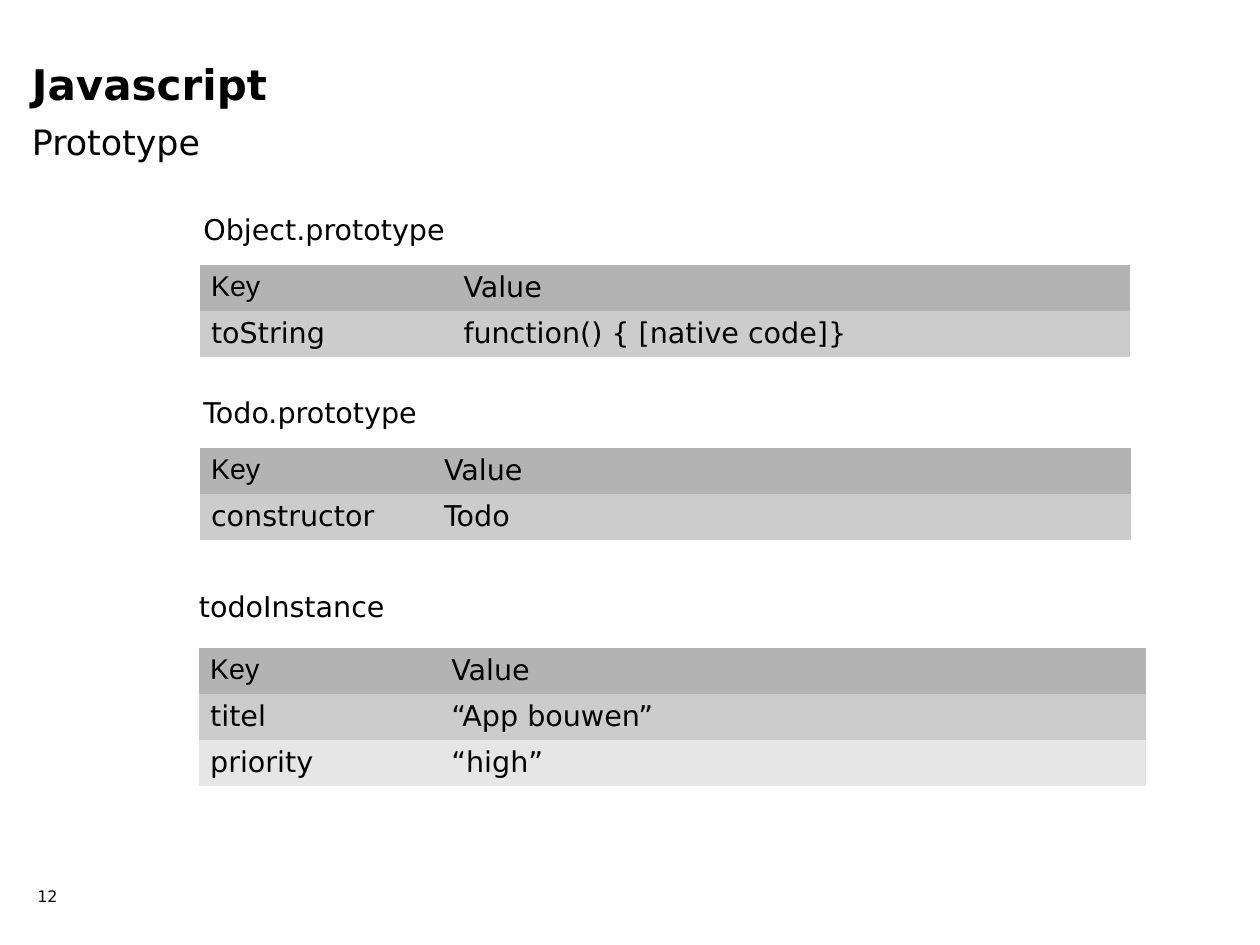
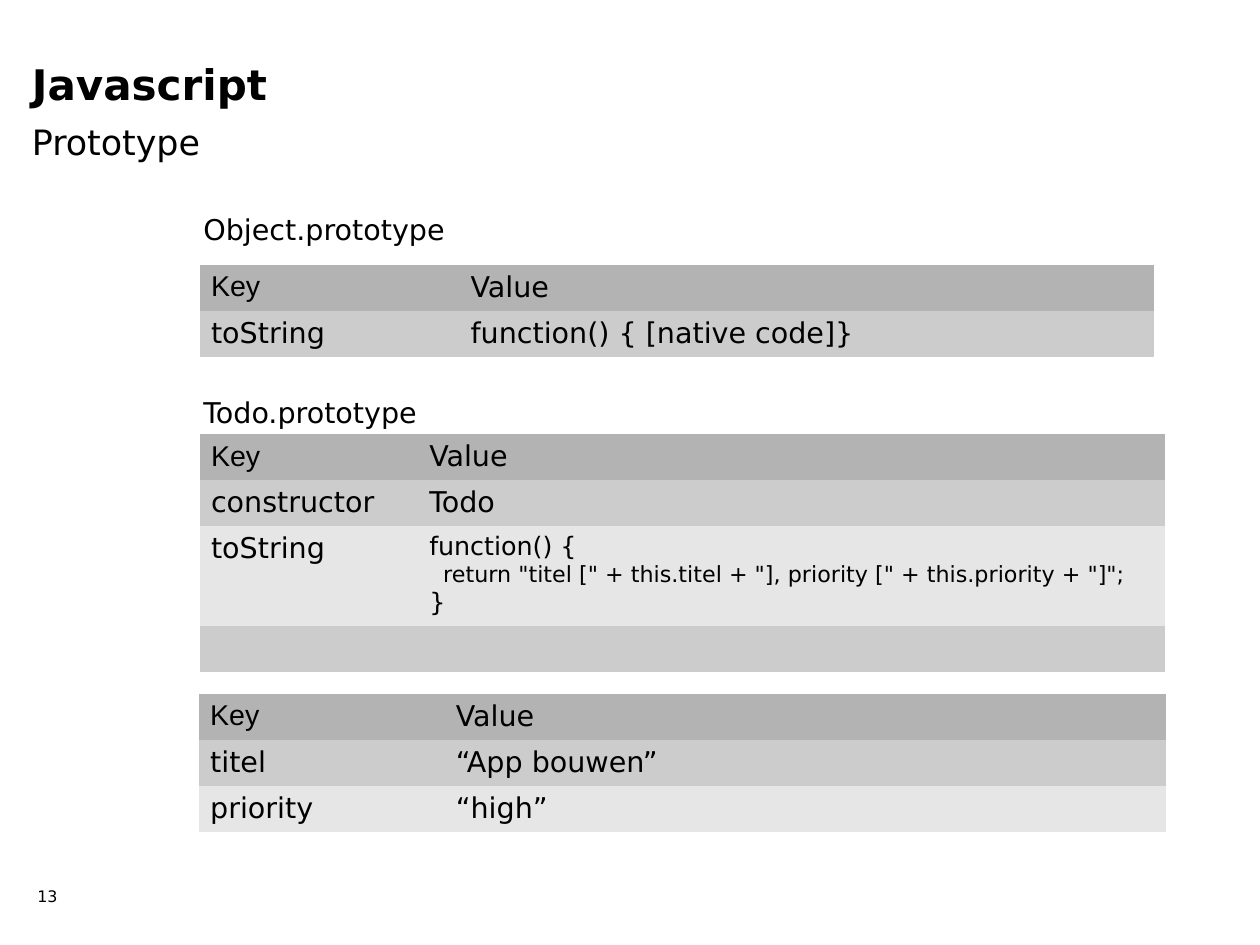
from pptx import Presentation
from pptx.dml.color import RGBColor
from pptx.enum.text import MSO_ANCHOR
from pptx.oxml.ns import qn
from pptx.util import Cm, Pt

MIDDLE, TOP = MSO_ANCHOR.MIDDLE, MSO_ANCHOR.TOP
COLORS = {"text": "000000", "header": "B3B3B3", "odd": "CCCCCC", "even": "E6E6E6"}
FONT = "DejaVu Sans"
KEY_FONT = "Arial"
PLAIN_TABLE = "{2D5ABB26-0587-4C30-8999-92F81FD0307C}"
INSET_X, INSET_Y = 0.25, 0.13
ROW_HEIGHT = 1.02
TABLE_LEFT = 4.44
INSTANCE_LEFT = 4.42
LABEL_LEFT = 4.27
OBJECT_LABEL_TOP, OBJECT_TOP = 4.57, 5.89
TODO_LABEL_TOP = 8.64

HEADER = ("Key", "Value")
OBJECT_ROWS = [HEADER, ("toString", "function() { [native code]}")]
TODO_ROWS = [HEADER, ("constructor", "Todo")]
INSTANCE_ROWS = [HEADER, ("titel", "“App bouwen”"), ("priority", "“high”")]
TO_STRING_CODE = [
    ("function() {", {"size": 16}),
    ('return "titel [" + this.titel + "], priority [" + this.priority + "]";',
     {"size": 14, "indent": 0.31}),
    ("}", {"size": 16}),
]


def write(para, text, size=18, font=FONT, bold=False, indent=0):
    if indent:
        para._p.get_or_add_pPr().set("marL", str(Cm(indent)))
    span = para.add_run()
    span.text = text
    span.font.size = Pt(size)
    span.font.name = font
    span.font.bold = bold
    span.font.color.rgb = RGBColor.from_string(COLORS["text"])


def set_margins(holder):
    holder.margin_left = holder.margin_right = Cm(INSET_X)
    holder.margin_top = holder.margin_bottom = Cm(INSET_Y)


def add_text(page, text, left, top, width=10, height=ROW_HEIGHT, anchor=TOP, **style):
    box = page.shapes.add_textbox(Cm(left), Cm(top), Cm(width), Cm(height))
    frame = box.text_frame
    frame.word_wrap = True
    frame.vertical_anchor = anchor
    set_margins(frame)
    write(frame.paragraphs[0], text, **style)


def fill_cell(cell, content, color, font):
    cell.fill.solid()
    cell.fill.fore_color.rgb = RGBColor.from_string(COLORS[color])
    set_margins(cell)
    lines = [(content, {"font": font})] if isinstance(content, str) else content
    frame = cell.text_frame
    for index, (text, style) in enumerate(lines):
        para = frame.add_paragraph() if index else frame.paragraphs[0]
        if text:
            write(para, text, **style)


def add_key_table(page, rows, left, top, widths, tall_rows=None):
    heights = [(tall_rows or {}).get(index, ROW_HEIGHT) for index in range(len(rows))]
    holder = page.shapes.add_table(len(rows), len(widths), Cm(left), Cm(top),
                                   Cm(sum(widths)), Cm(sum(heights)))
    next(holder.element.iter(qn("a:tableStyleId"))).text = PLAIN_TABLE
    table = holder.table
    table.first_row = table.horz_banding = False
    for column, width in zip(table.columns, widths):
        column.width = Cm(width)
    for r, values in enumerate(rows):
        table.rows[r].height = Cm(heights[r])
        color = "header" if r == 0 else "odd" if r % 2 else "even"
        for c, value in enumerate(values):
            fill_cell(table.cell(r, c), value, color, KEY_FONT if r == c == 0 else FONT)


def add_page(deck, number, object_widths):
    page = deck.slides.add_slide(deck.slide_layouts[6])
    add_text(page, "Javascript", 0.46, 1.17, width=26.8, height=1.4, size=26.5, bold=True)
    add_text(page, "Prototype", 0.46, 2.54, height=1.19, size=22)
    add_text(page, str(number), 0.58, 19.35, width=1.96, height=1.12, anchor=MIDDLE, size=10)
    add_text(page, "Object.prototype", LABEL_LEFT, OBJECT_LABEL_TOP)
    add_key_table(page, OBJECT_ROWS, TABLE_LEFT, OBJECT_TOP, object_widths)
    add_text(page, "Todo.prototype", LABEL_LEFT, TODO_LABEL_TOP)
    return page


def main():
    deck = Presentation()
    deck.slide_width, deck.slide_height = Cm(28), Cm(21)

    page = add_page(deck, 12, (5.61, 15.06))
    add_key_table(page, TODO_ROWS, TABLE_LEFT, 9.96, (5.18, 15.52))
    add_text(page, "todoInstance", 4.17, 12.95)
    add_key_table(page, INSTANCE_ROWS, INSTANCE_LEFT, 14.4, (5.36, 15.69))

    page = add_page(deck, 13, (5.77, 15.44))
    todo_rows = TODO_ROWS + [("toString", TO_STRING_CODE), ("", "")]
    add_key_table(page, todo_rows, TABLE_LEFT, 9.65, (4.85, 16.61), tall_rows={2: 2.22})
    add_key_table(page, INSTANCE_ROWS, INSTANCE_LEFT, 15.42, (5.46, 16.03))

    deck.save("out.pptx")


if __name__ == "__main__":
    main()
